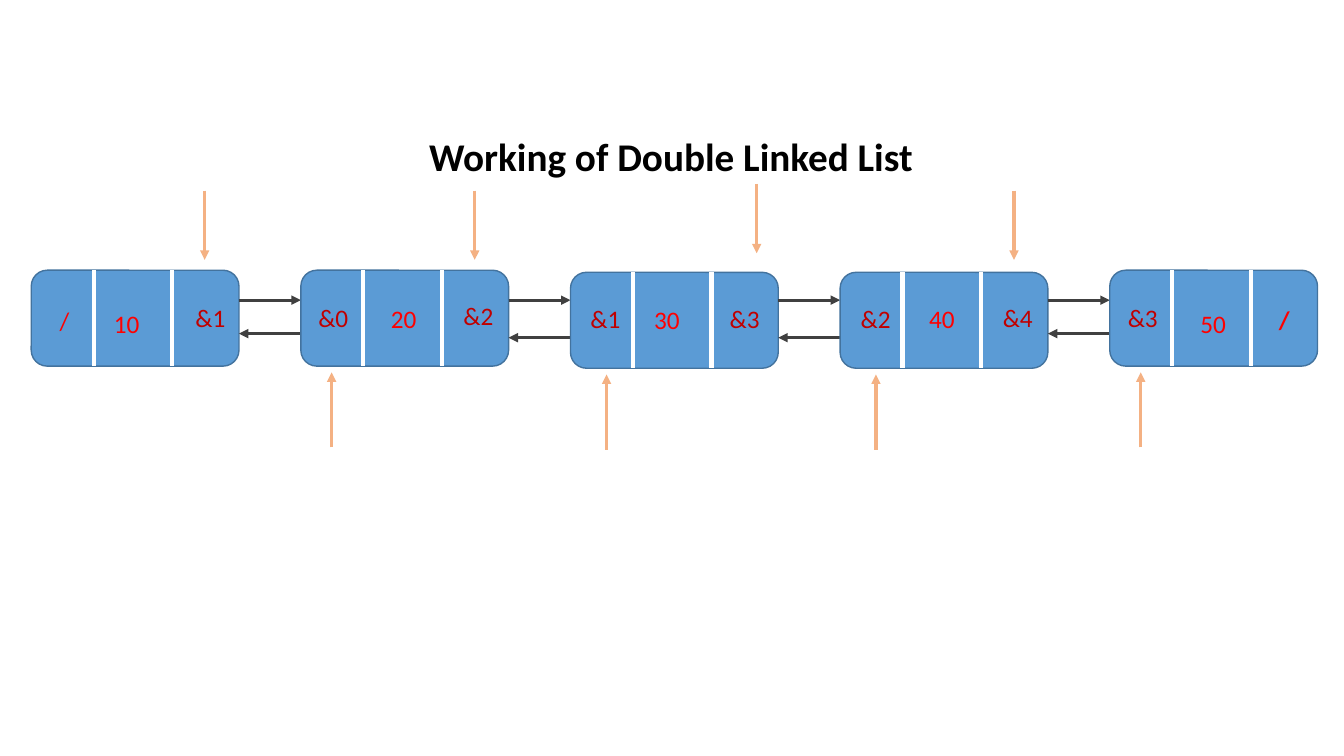
from dataclasses import dataclass
from typing import Optional

from lxml.etree import SubElement
from pptx import Presentation
from pptx.dml.color import RGBColor
from pptx.enum.shapes import MSO_CONNECTOR as CONN, MSO_SHAPE as SHAPE
from pptx.enum.text import MSO_AUTO_SIZE as AUTO
from pptx.oxml.ns import qn
from pptx.util import Pt


@dataclass(frozen=True)
class Theme:
    font: str = "Calibri"
    title_size: float = 28
    label_size: float = 18
    title: str = "000000"
    fill: str = "5B9BD5"
    outline: str = "43739E"
    divider: str = "FFFFFF"
    link: str = "404040"
    pointer: str = "F4B183"
    address: str = "C00000"
    value: str = "FF0000"


@dataclass(frozen=True)
class Label:
    text: str
    x: float
    y: float
    width: float
    color: str
    bold: bool = False


@dataclass(frozen=True)
class Node:
    top: float
    prev: Label
    value: Label
    next: Label
    down_x: Optional[float] = None
    down_y: float = 136.1
    up_x: Optional[float] = None
    back_y: float = 238.3


THEME = Theme()
LEFT, PITCH, NODE_W, NODE_H = 22.3, 192.6, 148.4, 68.5
DIVIDERS = (44.6, 100.8)
NEXT_Y = 214.4
DOWN_LENGTH = 49.5
UP_START, UP_END = 126.6, 73
LABEL_H = 29


def address(text: str, x: float, y: float) -> Label:
    return Label(text, x, y, 36, THEME.address)


def value(text: str, x: float, y: float) -> Label:
    return Label(text, x, y, 33, THEME.value)


def end_mark(x: float, y: float, bold: bool) -> Label:
    return Label("/", x, y, 22.3, THEME.value, bold)


NODES = [
    Node(193, end_mark(35.5, 214.6, False), value("10", 74.2, 216.7),
         address("&1", 132.5, 212.4), down_x=146.2),
    Node(193, address("&0", 220.3, 212.4), value("20", 272.2, 213.1),
         address("&2", 324, 211), down_x=339.1, up_x=236.9, back_y=241.2),
    Node(194.5, address("&1", 414.7, 213.1), value("30", 460.1, 213.8),
         address("&3", 514.1, 213.1), down_x=540.5, down_y=131.4,
         up_x=433.3, back_y=241.2),
    Node(194.5, address("&2", 607.7, 213.1), value("40", 656.6, 213.1),
         address("&4", 709.2, 212.1), down_x=724.3, up_x=625.7),
    Node(193, address("&3", 798.5, 212.4), value("50", 850.3, 216.7),
         end_mark(906.5, 213.8, True), up_x=814.8),
]


def add_line(s, x1: float, y1: float, x2: float, y2: float,
             color: str, width: float, arrow: bool = True) -> None:
    line = s.shapes.add_connector(CONN.STRAIGHT, Pt(x1), Pt(y1), Pt(x2), Pt(y2))
    line.line.color.rgb = RGBColor.from_string(color)
    line.line.width = Pt(width)
    if arrow:
        SubElement(line.line._get_or_add_ln(), qn("a:tailEnd"), type="triangle")
    SubElement(line._element.spPr, qn("a:effectLst"))


def add_label(s, label: Label, size: float, height: float = LABEL_H) -> None:
    sp = s.shapes.add_textbox(Pt(label.x), Pt(label.y), Pt(label.width), Pt(height))
    tf = sp.text_frame
    tf.word_wrap = False
    tf.auto_size = AUTO.SHAPE_TO_FIT_TEXT
    tf.text = label.text
    font = tf.paragraphs[0].runs[0].font
    font.name = THEME.font
    font.size = Pt(size)
    font.bold = label.bold
    font.color.rgb = RGBColor.from_string(label.color)


def add_node(s, node: Node, left: float) -> None:
    sp = s.shapes.add_shape(SHAPE.ROUNDED_RECTANGLE, Pt(left), Pt(node.top),
                            Pt(NODE_W), Pt(NODE_H))
    sp.shadow.inherit = False
    sp.fill.solid()
    sp.fill.fore_color.rgb = RGBColor.from_string(THEME.fill)
    sp.line.color.rgb = RGBColor.from_string(THEME.outline)
    sp.line.width = Pt(1)
    for offset in DIVIDERS:
        add_line(s, left + offset, node.top, left + offset, node.top + NODE_H,
                 THEME.divider, 3, arrow=False)
    for label in (node.prev, node.value, node.next):
        add_label(s, label, THEME.label_size)


def add_pointers(s, node: Node) -> None:
    if node.down_x is not None:
        add_line(s, node.down_x, node.down_y, node.down_x,
                 node.down_y + DOWN_LENGTH, THEME.pointer, 2.25)
    if node.up_x is not None:
        add_line(s, node.up_x, node.top + UP_START, node.up_x,
                 node.top + UP_END, THEME.pointer, 2.25)


def add_links(s, node: Node, left: float) -> None:
    start, end = left + NODE_W, left + PITCH
    add_line(s, start, NEXT_Y, end, NEXT_Y, THEME.link, 2.25)
    add_line(s, end, node.back_y, start, node.back_y, THEME.link, 2.25)


def main() -> None:
    prs = Presentation()
    prs.slide_width, prs.slide_height = Pt(960), Pt(540)
    s = prs.slides.add_slide(prs.slide_layouts[6])
    title = Label("Working of Double Linked List", 299.5, 90.7, 363.6, THEME.title, True)
    add_label(s, title, THEME.title_size, 41)
    for i, node in enumerate(NODES):
        left = LEFT + i * PITCH
        add_node(s, node, left)
        add_pointers(s, node)
        if i < len(NODES) - 1:
            add_links(s, node, left)
    prs.save("out.pptx")


if __name__ == "__main__":
    main()
